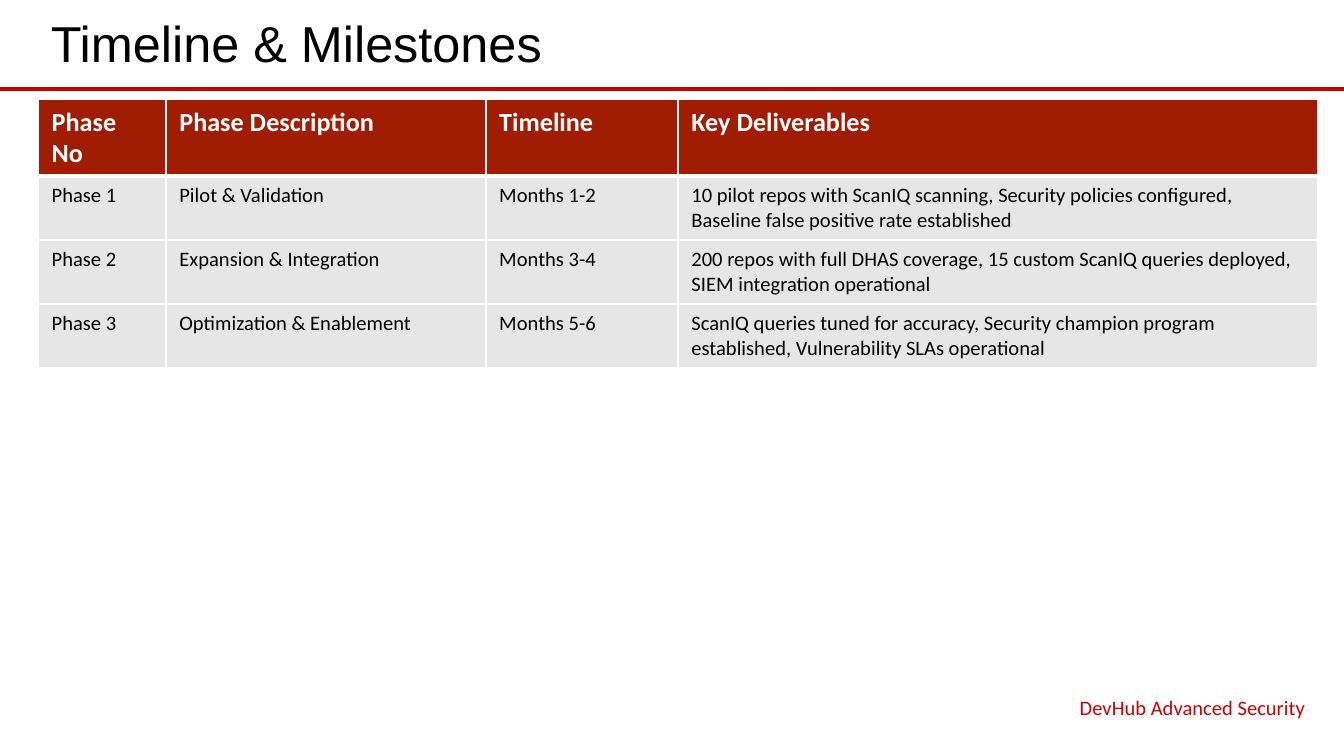
from dataclasses import dataclass

from lxml import etree
from pptx import Presentation, util as u
from pptx.dml import color
from pptx.enum import shapes, text
from pptx.oxml import ns

LEFT, WIDTH = 20.5, 686.16
COLUMNS = (68.4, 171.36, 102.96, 342.72)
HEADER_HEIGHT, BODY_HEIGHT = 41, 34.3
RED, WHITE, BLACK = "CC0000", "FFFFFF", "000000"


@dataclass(frozen=True)
class Style:
    size: float
    font: str
    ink: str
    bold: bool = False


@dataclass(frozen=True)
class Label:
    wording: str
    left: float
    top: float
    width: float
    height: float
    style: Style
    align: text.PP_ALIGN
    anchor: text.MSO_ANCHOR


@dataclass(frozen=True)
class Phase:
    number: str
    description: str
    timeline: str
    deliverables: str


HEADER_STYLE = Style(14, "Calibri", WHITE, True)
BODY_STYLE = Style(11, "Calibri", BLACK)

LABELS = (
    Label("Timeline & Milestones", 20.16, 1.8, WIDTH, 41.76,
          Style(27, "Arial", BLACK), text.PP_ALIGN.LEFT, text.MSO_ANCHOR.MIDDLE),
    Label("DevHub Advanced Security", 452.88, 368.64, 253.44, 18.72,
          Style(11, "Calibri", RED), text.PP_ALIGN.RIGHT, text.MSO_ANCHOR.TOP),
)

PHASES = (
    Phase("Phase No", "Phase Description", "Timeline", "Key Deliverables"),
    Phase("Phase 1", "Pilot & Validation", "Months 1-2",
          "10 pilot repos with ScanIQ scanning, Security policies configured, "
          "Baseline false positive rate established"),
    Phase("Phase 2", "Expansion & Integration", "Months 3-4",
          "200 repos with full DHAS coverage, 15 custom ScanIQ queries deployed, "
          "SIEM integration operational"),
    Phase("Phase 3", "Optimization & Enablement", "Months 5-6",
          "ScanIQ queries tuned for accuracy, Security champion program "
          "established, Vulnerability SLAs operational"),
)


def rgb(value: str) -> color.RGBColor:
    return color.RGBColor.from_string(value)


def write(frame, wording: str, style: Style, align=text.PP_ALIGN.LEFT) -> None:
    paragraph = frame.paragraphs[0]
    paragraph.alignment = align
    run = paragraph.add_run()
    run.text = wording
    formats = {"size": u.Pt(style.size), "name": style.font, "bold": style.bold}
    for attribute, value in formats.items():
        setattr(run.font, attribute, value)
    run.font.color.rgb = rgb(style.ink)


def draw_label(slide, label: Label) -> None:
    frame = slide.shapes.add_textbox(
        u.Pt(label.left), u.Pt(label.top), u.Pt(label.width), u.Pt(label.height)
    ).text_frame
    formats = {"word_wrap": True, "vertical_anchor": label.anchor}
    for attribute, value in formats.items():
        setattr(frame, attribute, value)
    write(frame, label.wording, label.style, label.align)


def draw_rule(slide, height: float) -> None:
    rule = slide.shapes.add_connector(
        shapes.MSO_CONNECTOR.STRAIGHT, 0, u.Pt(height), u.Pt(720), u.Pt(height))
    rule.line.color.rgb = rgb(RED)
    rule.line.width = u.Pt(2.25)
    etree.SubElement(rule.element.spPr, ns.qn("a:effectLst"))


def border(cell, widths: dict[str, float]) -> None:
    properties = cell._tc.get_or_add_tcPr()
    for position, (side, width) in enumerate(widths.items()):
        edge = etree.Element(ns.qn(f"a:ln{side}"), w=str(u.Pt(width)))
        fill = etree.SubElement(edge, ns.qn("a:solidFill"))
        etree.SubElement(fill, ns.qn("a:srgbClr"), val=WHITE)
        properties.insert(position, edge)


def draw_timeline(slide, phases: tuple[Phase, ...]) -> None:
    total_height = HEADER_HEIGHT + BODY_HEIGHT * (len(phases) - 1)
    timeline = slide.shapes.add_table(
        len(phases), len(COLUMNS), u.Pt(LEFT), u.Pt(53.28),
        u.Pt(WIDTH), u.Pt(total_height)).table
    for column, width in zip(timeline.columns, COLUMNS):
        column.width = u.Pt(width)
    for row, phase in enumerate(phases):
        header = row == 0
        timeline.rows[row].height = u.Pt(HEADER_HEIGHT if header else BODY_HEIGHT)
        entries = (phase.number, phase.description, phase.timeline, phase.deliverables)
        for column, entry in enumerate(entries):
            cell = timeline.cell(row, column)
            cell.fill.solid()
            cell.fill.fore_color.rgb = rgb("A01C02" if header else "E7E6E6")
            border(cell, {"L": 1, "R": 1, "T": 3 if row == 1 else 1,
                          "B": 3 if header else 1})
            write(cell.text_frame, entry, HEADER_STYLE if header else BODY_STYLE)


def main() -> None:
    deck = Presentation()
    deck.slide_width, deck.slide_height = u.Pt(720), u.Pt(405)
    slide = deck.slides.add_slide(deck.slide_layouts[6])
    draw_rule(slide, 47.52)
    for label in LABELS:
        draw_label(slide, label)
    draw_timeline(slide, PHASES)
    deck.save("out.pptx")


if __name__ == "__main__":
    main()
